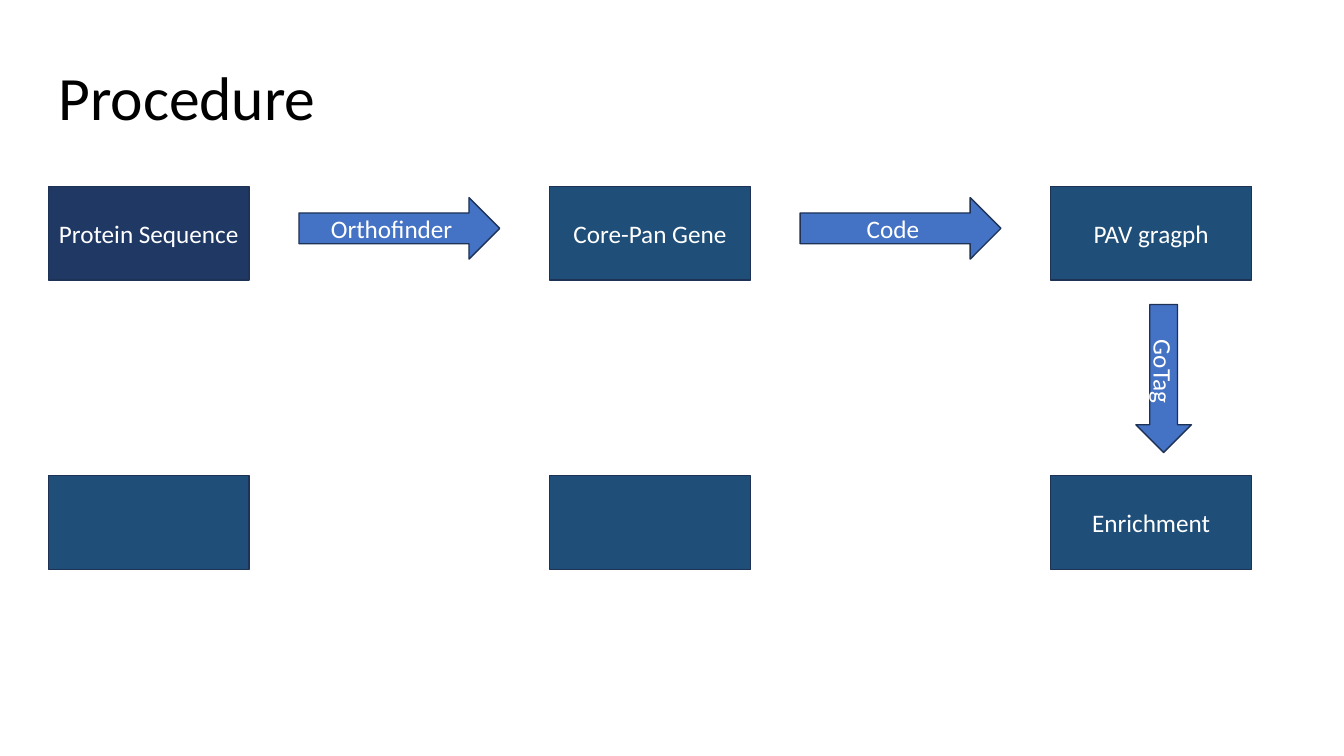
from pptx import Presentation
from pptx.dml.color import RGBColor
from pptx.enum.shapes import MSO_SHAPE
from pptx.enum.text import MSO_ANCHOR, PP_ALIGN
from pptx.util import Cm, Pt

RECTANGLE = MSO_SHAPE.RECTANGLE
RIGHT_ARROW = MSO_SHAPE.RIGHT_ARROW
MIDDLE = MSO_ANCHOR.MIDDLE
CENTER = PP_ALIGN.CENTER

FONT = "Calibri"
NAVY = "203864"
BLUE = "1F4E79"
ARROW_BLUE = "4472C4"
OUTLINE = "1E3256"
WHITE = "FFFFFF"
BLACK = "000000"

LEFT = 1.22
STEP_TOP = 4.7
STEP_WIDTH = 5.06
STEP_HEIGHT = 2.36
COLUMN_PITCH = 12.63
ROW_PITCH = 7.29
ARROW_TOP = 4.98
ARROW_HEIGHT = 1.55

STEPS = [
    ["Protein Sequence", "Core-Pan Gene", "PAV gragph"],
    ["", "", "Enrichment"],
]
TOOLS = ["Orthofinder", "Code"]


def color(value):
    return RGBColor.from_string(value)


def write(frame, text, size, ink):
    frame.word_wrap = True
    frame.vertical_anchor = MIDDLE
    line = frame.paragraphs[0]
    line.text = text
    line.font.name = FONT
    line.font.size = Pt(size)
    line.font.color.rgb = color(ink)
    return line


def add_title(slide, text):
    title = slide.shapes.add_textbox(Cm(LEFT), Cm(0.69), Cm(29.21), Cm(3.68))
    write(title.text_frame, text, 44, BLACK).line_spacing = 0.9


def add_block(slide, kind, left, top, width, height, fill, text):
    block = slide.shapes.add_shape(kind, Cm(left), Cm(top), Cm(width), Cm(height))
    block.shadow.inherit = False
    block.fill.solid()
    block.fill.fore_color.rgb = color(fill)
    block.line.color.rgb = color(OUTLINE)
    block.line.width = Pt(1)
    if text:
        write(block.text_frame, text, 18, WHITE).alignment = CENTER
    return block


def add_steps(slide):
    for row, labels in enumerate(STEPS):
        for column, label in enumerate(labels):
            fill = NAVY if row == column == 0 else BLUE
            add_block(slide, RECTANGLE, LEFT + column * COLUMN_PITCH,
                      STEP_TOP + row * ROW_PITCH, STEP_WIDTH, STEP_HEIGHT,
                      fill, label)


def add_arrows(slide):
    for column, tool in enumerate(TOOLS):
        add_block(slide, RIGHT_ARROW, LEFT + (column + 0.5) * COLUMN_PITCH,
                  ARROW_TOP, STEP_WIDTH, ARROW_HEIGHT, ARROW_BLUE, tool)
    down_arrow = add_block(slide, RIGHT_ARROW, 27.46, 8.84, 3.73, 1.4,
                           ARROW_BLUE, "GoTag")
    down_arrow.rotation = 90


def main():
    deck = Presentation()
    deck.slide_width = Cm(33.87)
    deck.slide_height = Cm(19.05)
    slide = deck.slides.add_slide(deck.slide_layouts[6])
    add_title(slide, "Procedure")
    add_steps(slide)
    add_arrows(slide)
    deck.save("out.pptx")


if __name__ == "__main__":
    main()
